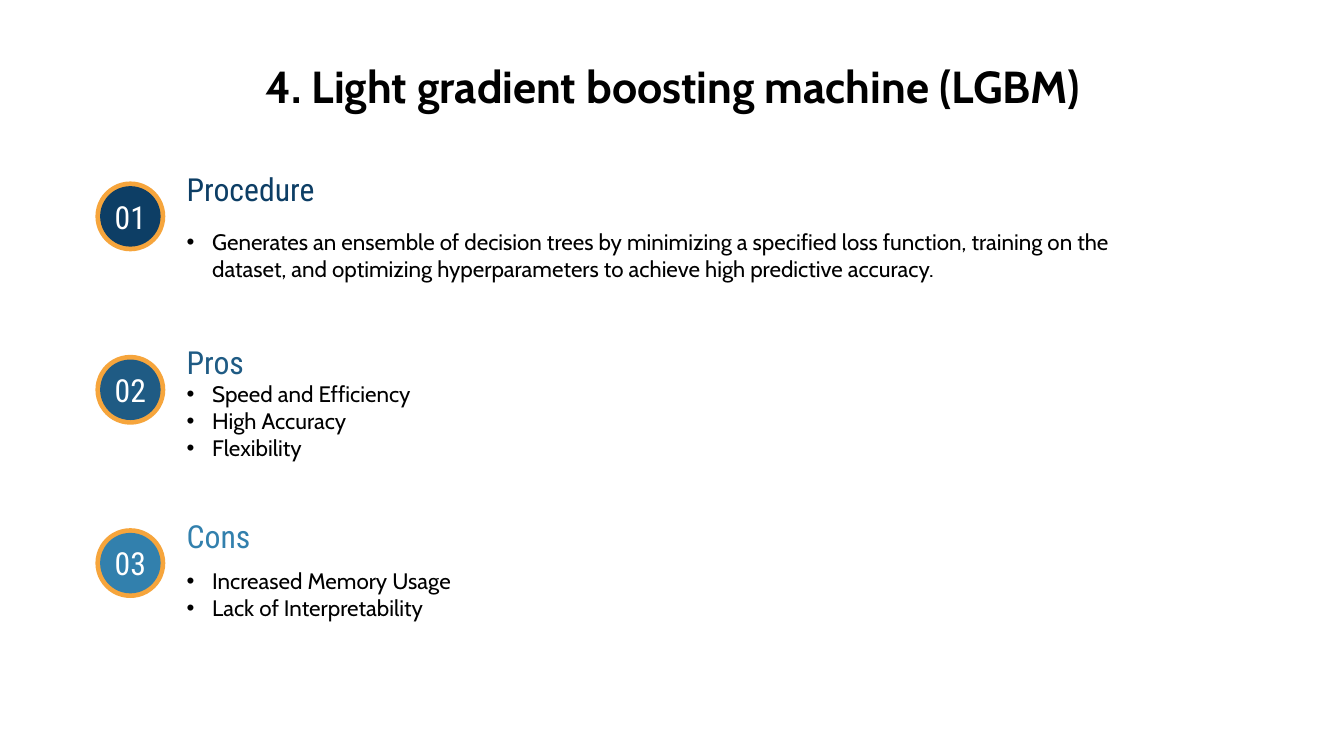
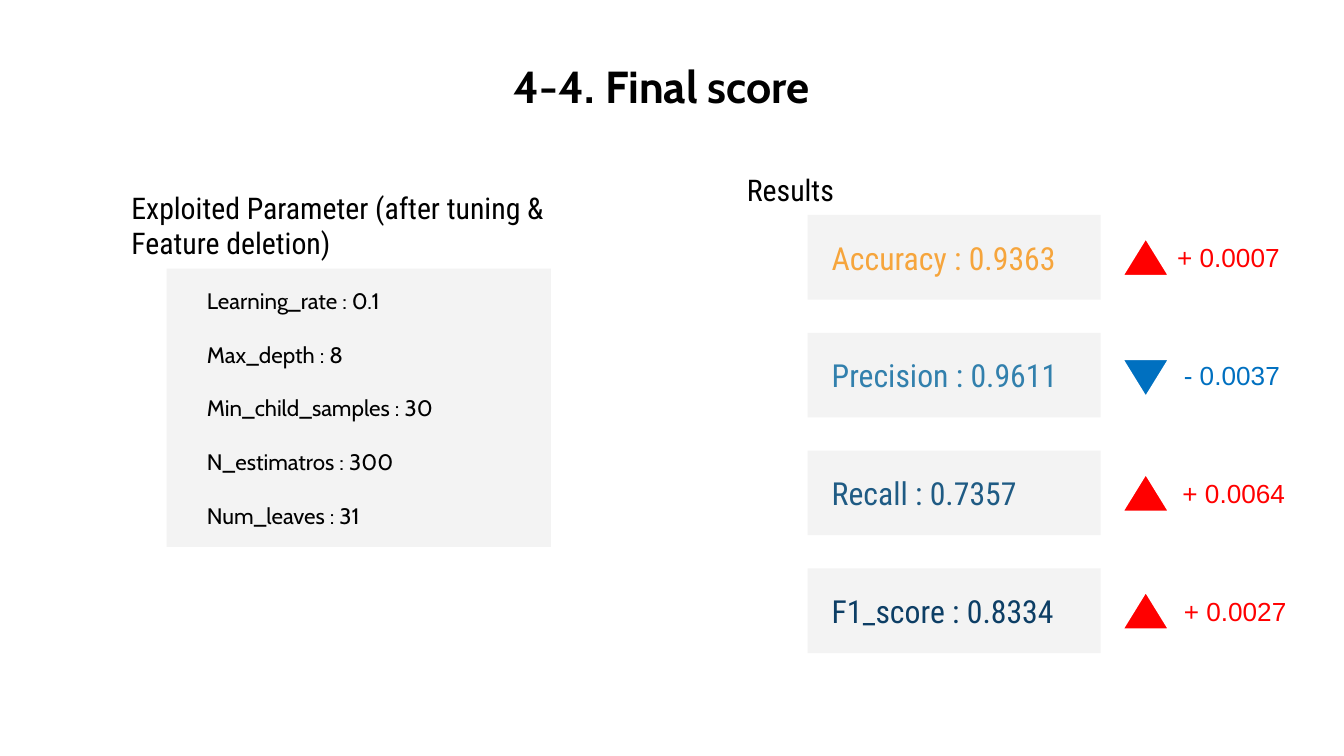
"""Build two slides on LGBM: its method with pros and cons, and its final score."""
from dataclasses import dataclass

from lxml.etree import SubElement
from pptx import Presentation
from pptx.dml.color import RGBColor
from pptx.enum.shapes import MSO_SHAPE as SHAPE
from pptx.enum.text import MSO_ANCHOR as ANCHOR, PP_ALIGN as ALIGN
from pptx.oxml.ns import qn
from pptx.util import Inches, Pt


@dataclass(frozen=True)
class Theme:
    """Colours, fonts and type sizes."""
    black: str = "000000"
    white: str = "FFFFFF"
    navy: str = "0D3E65"
    blue: str = "1F5B84"
    sky: str = "3280AD"
    orange: str = "F6A53C"
    panel: str = "F3F3F3"
    up: str = "FF0000"
    down: str = "0070C0"
    body_font: str = "Cabin"
    head_font: str = "Roboto Condensed"
    delta_font: str = "Arial"
    title_size: int = 24
    head_size: int = 17
    label_size: int = 16
    delta_size: int = 14
    body_size: int = 12


T = Theme()

STEPS_TITLE = "4. Light gradient boosting machine (LGBM)"
STEPS = [
    ("Procedure", T.navy, (0.27, 7.32, 0.91), [
        "Generates an ensemble of decision trees by minimizing a specified loss function, "
        "training on the dataset, and optimizing hyperparameters to achieve high "
        "predictive accuracy."]),
    ("Pros", T.blue, (0.38, 2.23, 0.58),
     ["Speed and Efficiency", "High Accuracy", "Flexibility"]),
    ("Cons", T.sky, (0.38, 3.36, 0.58),
     ["Increased Memory Usage", "Lack of Interpretability"]),
]

SCORE_TITLE = "4-4. Final score"
PARAMETERS_LABEL = "Exploited Parameter (after tuning & Feature deletion)"
PARAMETERS = ["Learning_rate : 0.1", "Max_depth : 8", "Min_child_samples : 30",
              "N_estimatros : 300", "Num_leaves : 31"]
RESULTS_LABEL = "Results"
RESULTS = [
    ("Accuracy : 0.9363", T.orange, "+ 0.0007", 8.66),
    ("Precision : 0.9611", T.sky, "- 0.0037", 8.71),
    ("Recall : 0.7357", T.blue, "+ 0.0064", 8.7),
    ("F1_score : 0.8334", T.navy, "+ 0.0027", 8.71),
]


def rgb(value):
    return RGBColor.from_string(value)


def write(sp, lines, font, size, color, margins=(0.1, 0.1), anchor=ANCHOR.MIDDLE,
          align=ALIGN.LEFT, bold=False, bullet=False, gap=0):
    tf = sp.text_frame
    tf.text = "\n".join(lines)
    tf.word_wrap = True
    tf.vertical_anchor = anchor
    tf.margin_left = tf.margin_right = Inches(margins[0])
    tf.margin_top = tf.margin_bottom = Inches(margins[1])
    for i, p in enumerate(tf.paragraphs):
        p.alignment = align
        if i and gap:
            p.space_before = Pt(gap)
        if bullet:
            pPr = p._p.get_or_add_pPr()
            pPr.set("marL", str(Inches(0.19)))
            pPr.set("indent", str(-Inches(0.19)))
            SubElement(pPr, qn("a:buFont")).set("typeface", "Arial")
            SubElement(pPr, qn("a:buChar")).set("char", "•")
        for r in p.runs:
            r.font.name, r.font.size, r.font.bold = font, Pt(size), bold
            r.font.color.rgb = rgb(color)


def add_text(s, box, lines, *style, **options):
    sp = s.shapes.add_textbox(*map(Inches, box))
    write(sp, lines, *style, **options)


def add_shape(s, kind, box, fill, line=None):
    sp = s.shapes.add_shape(kind, *map(Inches, box))
    sp.shadow.inherit = False
    sp.fill.solid()
    sp.fill.fore_color.rgb = rgb(fill)
    if line:
        sp.line.color.rgb = rgb(line)
        sp.line.width = Pt(2)
    else:
        sp.line.fill.background()
    return sp


def add_slide(prs, title, right_margin=0.1):
    s = prs.slides.add_slide(prs.slide_layouts[5])
    sp = s.shapes.title
    sp.left, sp.top, sp.width, sp.height = map(Inches, (0.2, 0.34, 9.61, 0.63))
    write(sp, [title], T.body_font, T.title_size, T.black, anchor=ANCHOR.TOP,
          align=ALIGN.CENTER, bold=True)
    sp.text_frame.margin_right = Inches(right_margin)
    return s


def build_steps(prs):
    s = add_slide(prs, STEPS_TITLE)
    left, first, pitch = 1.29, 1.17, 1.29
    ring, disc = 0.52, 0.45
    inset = (ring - disc) / 2
    for i, (heading, color, (drop, width, height), lines) in enumerate(STEPS):
        top = first + i * pitch
        x, y = 0.71, top + 0.18
        add_text(s, (left, top, 2.23, 0.47), [heading], T.head_font, T.head_size, color)
        add_text(s, (left, top + drop, width, height), lines,
                 T.body_font, T.body_size, T.black, bullet=True)
        add_shape(s, SHAPE.OVAL, (x, y, ring, ring), T.orange)
        sp = add_shape(s, SHAPE.OVAL, (x + inset, y + inset, disc, disc), color)
        write(sp, [f"{i + 1:02}"], T.head_font, T.head_size, T.white,
              margins=(0, 0.1), align=ALIGN.CENTER)


def build_score(prs):
    s = add_slide(prs, SCORE_TITLE, right_margin=0.26)
    for label, box in ((PARAMETERS_LABEL, (0.88, 1.36, 3.56, 0.64)),
                       (RESULTS_LABEL, (5.46, 1.23, 3.56, 0.37))):
        add_text(s, box, [label], T.head_font, T.label_size, T.black,
                 margins=(0.1, 0.05), anchor=ANCHOR.TOP)
    sp = add_shape(s, SHAPE.RECTANGLE, (1.24, 2, 2.86, 2.07), T.panel)
    write(sp, PARAMETERS, T.body_font, T.body_size, T.black, margins=(0.3, 0.1), gap=14.4)

    first, last = 1.6, 4.23
    pitch = (last - first) / (len(RESULTS) - 1)
    for i, (score, color, delta, delta_left) in enumerate(RESULTS):
        top = first + i * pitch
        falls = delta.startswith("-")
        trend = T.down if falls else T.up
        add_shape(s, SHAPE.RECTANGLE, (6.01, top, 2.18, 0.63), T.panel)
        add_text(s, (6.09, top + 0.08, 2.04, 0.47), [score],
                 T.head_font, T.head_size, color)
        sp = add_shape(s, SHAPE.ISOSCELES_TRIANGLE,
                       (8.34, top + (0.19 if falls else 0.16), 0.37, 0.3), trend, T.white)
        sp.rotation = 180 if falls else 0
        add_text(s, (delta_left, top + 0.15, 1.04, 0.34), [delta],
                 T.delta_font, T.delta_size, trend, margins=(0.1, 0.05), anchor=ANCHOR.TOP)


def main():
    prs = Presentation()
    prs.slide_width = Inches(10)
    prs.slide_height = prs.slide_width * 9 // 16
    build_steps(prs)
    build_score(prs)
    prs.save("out.pptx")


if __name__ == "__main__":
    main()
